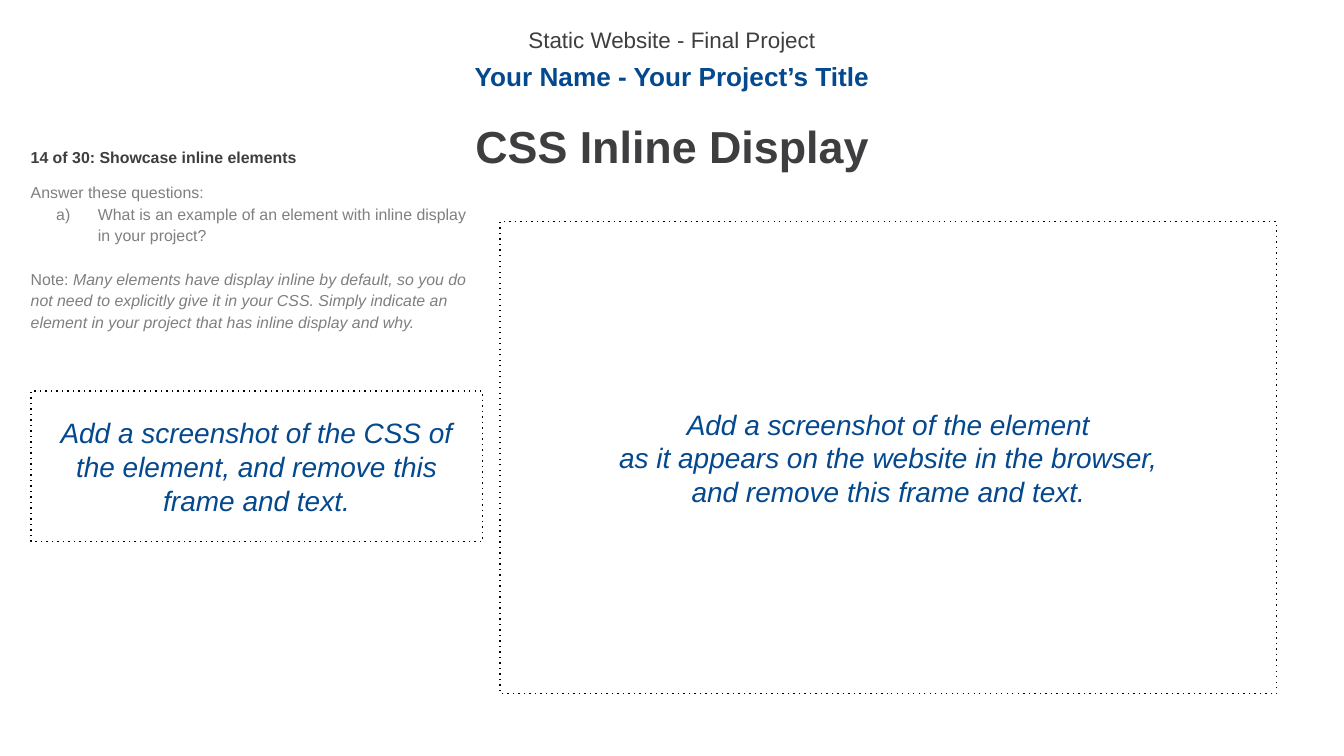
from dataclasses import dataclass

from lxml import etree
from pptx import Presentation
from pptx.dml.color import RGBColor
from pptx.enum.dml import MSO_LINE
from pptx.enum.shapes import MSO_SHAPE
from pptx.enum.text import MSO_ANCHOR, MSO_AUTO_SIZE, PP_ALIGN
from pptx.oxml.ns import qn
from pptx.util import Pt

LEFT, CENTER = PP_ALIGN.LEFT, PP_ALIGN.CENTER
TOP, MIDDLE = MSO_ANCHOR.TOP, MSO_ANCHOR.MIDDLE
NO_AUTOFIT = MSO_AUTO_SIZE.NONE
DOTTED = MSO_LINE.ROUND_DOT
RECTANGLE = MSO_SHAPE.RECTANGLE

FONT = "Arial"
DARK, GRAY, BLUE, BLACK = "3E3D3F", "7F7F7F", "04488E", "000000"
LINE_SPACING = 1.14
HEADING_LEFT, HEADING_WIDTH = 143.28, 433.44
NOTES_LEFT, NOTES_WIDTH = 9.36, 248.4


@dataclass(frozen=True)
class Box:
    left: float
    top: float
    width: float
    height: float


@dataclass(frozen=True)
class Style:
    size: float
    color: str
    bold: bool = False
    italic: bool = False
    align: PP_ALIGN = LEFT
    spacing: float = LINE_SPACING


@dataclass(frozen=True)
class Run:
    text: str
    italic: bool = False


@dataclass(frozen=True)
class Line:
    runs: tuple[Run, ...]
    lettered: bool = False
    space_before: float = 0


@dataclass(frozen=True)
class TextBlock:
    box: Box
    style: Style
    lines: tuple[Line, ...]


def plain(*texts: str) -> tuple[Line, ...]:
    """One single-run line for each text."""
    return tuple(Line((Run(text),)) for text in texts)


HEADING = Style(24, DARK, bold=True, align=CENTER)
FRAME = Style(15, BLUE, italic=True, align=CENTER, spacing=1)
BODY = Style(8.5, GRAY)

TITLE = TextBlock(Box(HEADING_LEFT, 56.16, HEADING_WIDTH, 32.4), HEADING,
                  plain("CSS Inline Display"))
TEXTS = (
    TextBlock(Box(HEADING_LEFT, 8.64, HEADING_WIDTH, 17.28),
              Style(12, DARK, align=CENTER),
              plain("Static Website - Final Project")),
    TextBlock(Box(HEADING_LEFT, 26.64, HEADING_WIDTH, 25.92),
              Style(14, BLUE, bold=True, align=CENTER),
              plain("Your Name - Your Project’s Title")),
    TextBlock(Box(NOTES_LEFT, 74.16, NOTES_WIDTH, 18),
              Style(8.5, DARK, bold=True),
              plain("14 of 30: Showcase inline elements")),
    TextBlock(Box(NOTES_LEFT, 92.88, NOTES_WIDTH, 105.84), BODY, (
        Line((Run("Answer these questions:"),)),
        Line((Run("What is an example of an element with inline display "
                  "in your project?"),), lettered=True),
        Line((Run("Note: "),
              Run("Many elements have display inline by default, so you do "
                  "not need to explicitly give it in your CSS. Simply "
                  "indicate an element in your project that has inline "
                  "display and why.", italic=True)), space_before=11.5),
    )),
)
FRAMES = (
    TextBlock(Box(267.84, 118.8, 416.16, 252.72), FRAME,
              plain("Add a screenshot of the element",
                    "as it appears on the website in the browser,",
                    "and remove this frame and text.")),
    TextBlock(Box(16.56, 209.52, 241.92, 80.64), FRAME,
              plain("Add a screenshot of the CSS of the element, "
                    "and remove this frame and text.")),
)


def rgb(color: str) -> RGBColor:
    return RGBColor.from_string(color)


def lengths(box: Box) -> tuple[Pt, ...]:
    return Pt(box.left), Pt(box.top), Pt(box.width), Pt(box.height)


def add_letter(paragraph, color: str) -> None:
    """Number the paragraph a), b), ... with a hanging indent."""
    properties = paragraph._p.get_or_add_pPr()
    properties.set("marL", str(Pt(36)))
    properties.set("indent", str(Pt(-22.3)))
    bullet_color = etree.SubElement(properties, qn("a:buClr"))
    etree.SubElement(bullet_color, qn("a:srgbClr"), val=color)
    etree.SubElement(properties, qn("a:buAutoNum"), type="alphaLcParenR")


def write_text(shape, block: TextBlock, anchor: MSO_ANCHOR,
               vertical_margin: float) -> None:
    style = block.style
    frame = shape.text_frame
    frame.word_wrap = True
    frame.auto_size = NO_AUTOFIT
    frame.vertical_anchor = anchor
    frame.margin_left = frame.margin_right = Pt(7.2)
    frame.margin_top = frame.margin_bottom = Pt(vertical_margin)
    for index, line in enumerate(block.lines):
        paragraph = frame.add_paragraph() if index else frame.paragraphs[0]
        paragraph.alignment = style.align
        paragraph.line_spacing = style.spacing
        paragraph.space_before = Pt(line.space_before)
        if line.lettered:
            add_letter(paragraph, style.color)
        for part in line.runs:
            run = paragraph.add_run()
            run.text = part.text
            run.font.name = FONT
            run.font.size = Pt(style.size)
            run.font.bold = style.bold
            run.font.italic = style.italic or part.italic
            run.font.color.rgb = rgb(style.color)


def add_text(slide, block: TextBlock) -> None:
    shape = slide.shapes.add_textbox(*lengths(block.box))
    write_text(shape, block, TOP, 3.6)


def add_frame(slide, block: TextBlock) -> None:
    """Dotted placeholder rectangle with a centred instruction."""
    shape = slide.shapes.add_shape(RECTANGLE, *lengths(block.box))
    shape.shadow.inherit = False
    shape.fill.background()
    shape.line.color.rgb = rgb(BLACK)
    shape.line.width = Pt(0.75)
    shape.line.dash_style = DOTTED
    # The widely spaced "dot" preset has no enum member.
    shape.element.spPr.find(f".//{qn('a:prstDash')}").set("val", "dot")
    write_text(shape, block, MIDDLE, 7.2)


def set_title(slide, block: TextBlock) -> None:
    title = slide.shapes.title
    title.left, title.top, title.width, title.height = lengths(block.box)
    write_text(title, block, TOP, 3.6)


def main() -> None:
    presentation = Presentation()
    presentation.slide_width, presentation.slide_height = Pt(720), Pt(405)
    slide = presentation.slides.add_slide(presentation.slide_layouts[5])
    set_title(slide, TITLE)
    for block in TEXTS:
        add_text(slide, block)
    for block in FRAMES:
        add_frame(slide, block)
    presentation.save("out.pptx")


if __name__ == "__main__":
    main()
